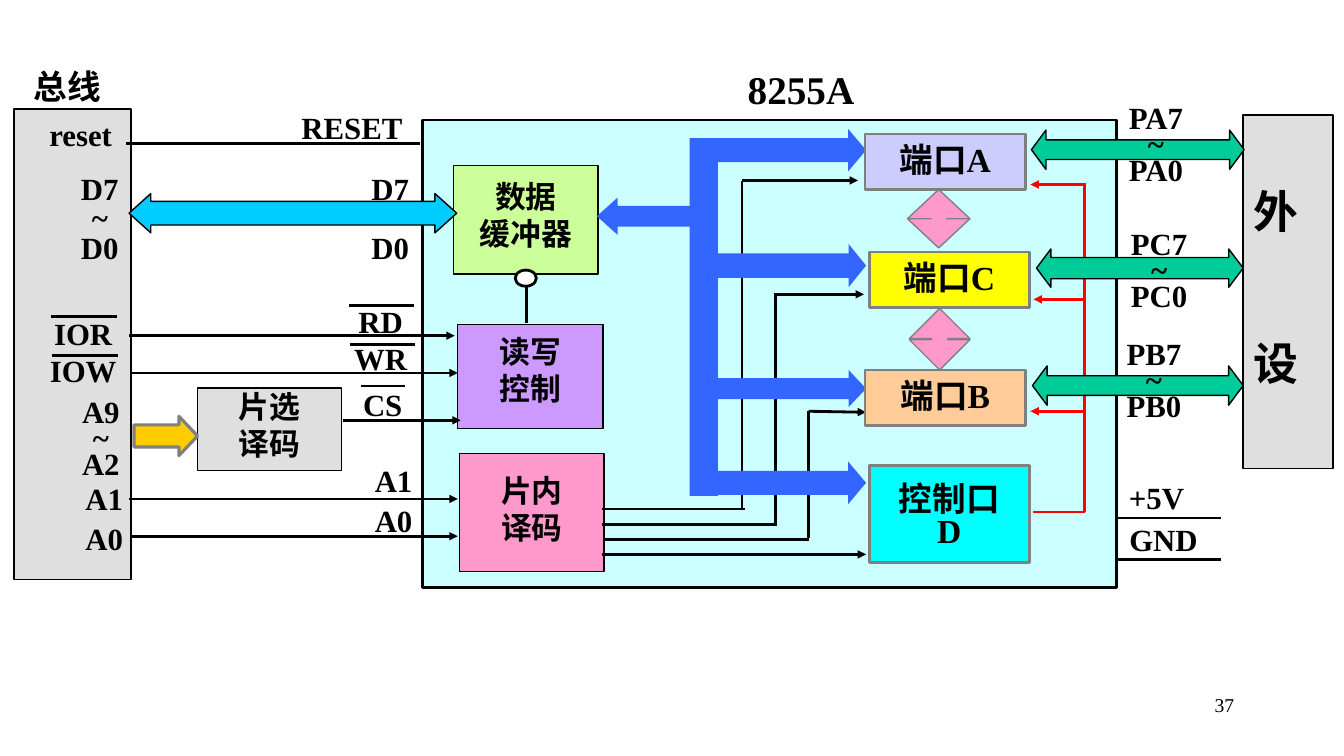
from pptx import Presentation
from pptx.dml.color import RGBColor
from pptx.enum import shapes, text
from pptx.oxml.ns import qn
from pptx.util import Inches, Pt
from lxml import etree

BLACK, GRAY, RED, BLUE, GREEN, PINK = "000000", "808080", "FF0000", "3366FF", "00CC99", "FF99CC"
SILVER = "C0C0C0"
KIND = shapes.MSO_SHAPE
CENTER, RIGHT, LEFT = text.PP_ALIGN.CENTER, text.PP_ALIGN.RIGHT, text.PP_ALIGN.LEFT
color = RGBColor.from_string

deck = Presentation()
deck.slide_width, deck.slide_height = Inches(13.33), Inches(7.5)
page = deck.slides.add_slide(deck.slide_layouts[6])


def write(box, words, size=22, bold=True, align=CENTER, spacing=None, gap=0, top=0, side=0):
    frame = box.text_frame
    frame.word_wrap = True
    frame.vertical_anchor = text.MSO_ANCHOR.TOP
    frame.margin_left = frame.margin_right = Inches(side)
    frame.margin_top, frame.margin_bottom = Inches(top), 0
    for index, line in enumerate(words.split("\n")):
        para = frame.paragraphs[0] if index == 0 else frame.add_paragraph()
        para.alignment = align
        if spacing:
            para.line_spacing = spacing
        if index and gap:
            para.space_before = Pt(gap)
        span = para.add_run()
        span.text = line
        span.font.name, span.font.size, span.font.bold = "Times New Roman", Pt(size), bold
        span.font.color.rgb = color(BLACK)


def draw(kind, place, fill, line=None, width=1, adjust=()):
    box = page.shapes.add_shape(kind, *map(Inches, place))
    box.shadow.inherit = False
    box.fill.solid()
    box.fill.fore_color.rgb = color(fill)
    if fill == SILVER:  # silver blocks are half transparent
        tint = box.fill._xPr.find(".//" + qn("a:srgbClr"))
        etree.SubElement(tint, qn("a:alpha"), val="50000")
    if line:
        box.line.color.rgb = color(line)
        box.line.width = Pt(width)
    else:
        box.line.fill.background()
    for index, value in enumerate(adjust):
        box.adjustments[index] = value
    return box


# Bus, chip outline and inner blocks
draw(KIND.RECTANGLE, (0.14, 1.08, 1.16, 4.67), SILVER, BLACK)
draw(KIND.RECTANGLE, (4.19, 1.19, 6.88, 4.64), "CCFFFF", BLACK, 2)
for place, fill, words, top in [
    ((1.96, 3.85, 1.43, 0.82), SILVER, "片选\n译码", 0),
    ((4.5, 1.64, 1.43, 1.08), "CCFF99", "数据\n缓冲器", 0.12),
    ((4.54, 3.22, 1.44, 1.03), "CC99FF", "读写\n控制", 0.08),
    ((4.56, 4.5, 1.43, 1.17), PINK, "片内\n译码", 0.18),
]:
    write(draw(KIND.RECTANGLE, place, fill, BLACK), words, top=top)
peripheral = draw(KIND.RECTANGLE, (12.33, 1.14, 0.89, 3.51), SILVER, BLACK)
write(peripheral, "外\n设", size=32, align=LEFT, gap=70, top=0.68, side=0.1)

# Wires: start, end, colour, arrowhead
wires = [
    # Bus signals
    (1.25, 1.42, 4.17, 1.42, BLACK, False),
    (1.28, 3.33, 4.51, 3.33, BLACK, True),
    (1.31, 3.7, 4.54, 3.7, BLACK, True),
    (3.4, 4.17, 4.57, 4.17, BLACK, True),
    (1.28, 4.95, 4.54, 4.95, BLACK, True),
    (1.3, 5.32, 4.54, 5.32, BLACK, True),
    # Decoder outputs
    (5.97, 5.05, 7.39, 5.05, BLACK, False),
    (7.36, 5.05, 7.36, 1.8, BLACK, False),
    (7.36, 1.79, 8.51, 1.79, BLACK, True),
    (5.97, 5.2, 7.7, 5.2, BLACK, False),
    (7.69, 5.22, 7.69, 2.92, BLACK, False),
    (7.68, 2.92, 8.57, 2.92, BLACK, True),
    (5.99, 5.35, 8.02, 5.35, BLACK, False),
    (8.02, 5.34, 8.02, 4.08, BLACK, False),
    (8.02, 4.08, 8.59, 4.09, BLACK, True),
    (5.97, 5.5, 8.59, 5.5, BLACK, True),
    # Control port to the other ports
    (10.76, 1.83, 10.76, 5.08, RED, False),
    (10.25, 5.08, 10.76, 5.08, RED, False),
    (10.76, 4.08, 10.22, 4.08, RED, True),
    (10.76, 2.97, 10.25, 2.97, RED, True),
    (10.77, 1.83, 10.22, 1.83, RED, True),
    # Supply and buffer enable
    (11.06, 5.14, 12.11, 5.14, BLACK, False),
    (11.06, 5.55, 12.11, 5.55, BLACK, False),
    (5.22, 3.2, 5.22, 2.85, BLACK, False),
]
# Bars over active-low names
for left, top, width in [(0.51, 3.14, 0.65), (0.52, 3.53, 0.65), (3.46, 3.03, 0.65),
                         (3.47, 3.42, 0.65), (3.58, 3.83, 0.44)]:
    wires.append((left, top, left + width, top, BLACK, False))
for *ends, shade, arrow in wires:
    wire = page.shapes.add_connector(shapes.MSO_CONNECTOR.STRAIGHT, *map(Inches, ends))
    wire.line.color.rgb = color(shade)
    wire.line.width = Pt(2)
    if arrow:
        etree.SubElement(wire.line._get_or_add_ln(), qn("a:tailEnd"), type="triangle")
    etree.SubElement(wire._element.spPr, qn("a:effectLst"))
draw(KIND.OVAL, (5.11, 2.68, 0.21, 0.16), "FFFFFF", BLACK, 2)

# Internal data bus
draw(KIND.RECTANGLE, (6.84, 1.37, 0.28, 3.55), BLUE)
draw(KIND.RIGHT_ARROW, (5.92, 1.96, 0.99, 0.37), BLUE, adjust=(0.561, 0.556)).rotation = 180
for top, height, head in [(1.28, 0.42, 0.421), (2.42, 0.43, 0.404),
                          (3.67, 0.37, 0.47), (4.58, 0.42, 0.421)]:
    draw(KIND.RIGHT_ARROW, (7.12, top, 1.47, height), BLUE, adjust=(0.565, head))

# Address, peripheral and port-to-port arrows
draw(KIND.RIGHT_ARROW, (1.33, 4.13, 0.63, 0.39), "FFCC00", GRAY, 2.25, (0.561, 0.473))
for place, adjust in [((10.23, 1.29, 2.11, 0.39), (0.5, 0.37)),
                      ((10.28, 2.47, 2.05, 0.38), (0.555, 0.376)),
                      ((10.24, 3.63, 2.09, 0.39), (0.5, 0.372))]:
    draw(KIND.LEFT_RIGHT_ARROW, place, GREEN, BLACK, adjust=adjust)
for place, head in [((9, 1.88, 0.62, 0.58), 0.25), ((9.02, 3.06, 0.6, 0.61), 0.269)]:
    draw(KIND.UP_DOWN_ARROW, place, PINK, GRAY, adjust=(0.5, head))

# Ports
for left, top, fill, words in [(8.58, 1.33, "CCCCFF", "端口A"), (8.62, 2.5, "FFFF00", "端口C"),
                               (8.58, 3.67, "FFCC99", "端口B")]:
    port = draw(KIND.RECTANGLE, (left, top, 1.59, 0.55), fill, GRAY, 2)
    write(port, words, size=24, spacing=0.7, top=0.16)
control = draw(KIND.RECTANGLE, (8.62, 4.62, 1.59, 0.96), "00FFFF", GRAY, 2)
write(control, "控制口\nD", size=24, spacing=0.8, top=0.2)

# Labels
for place, words, style in [
    ((0.11, 0.6, 1.11, 0.5), "总线", dict(size=24, top=0.05)),
    ((6.78, 0.6, 2.33, 0.57), "8255A", dict(size=28, top=0.05, side=0.1)),
    ((0.32, 1.15, 0.96, 0.35), "reset", {}),
    ((0.51, 1.75, 0.96, 0.83), "D7\n~\nD0", dict(spacing=0.8)),
    ((0.36, 3.12, 0.93, 0.63), "IOR\nIOW", {}),
    ((0.52, 4, 0.96, 0.83), "A9\n~\nA2", dict(spacing=0.7)),
    ((0.26, 4.76, 0.96, 0.74), "A1\nA0", dict(align=RIGHT, gap=2)),
    ((2.73, 1.08, 1.52, 0.35), "RESET", {}),
    ((3.39, 1.75, 0.96, 0.83), "D7\n~\nD0", dict(spacing=0.8)),
    ((3.31, 3, 0.93, 0.63), "RD\nWR", {}),
    ((3.47, 3.83, 0.65, 0.35), "CS", {}),
    ((3.13, 4.58, 0.96, 0.63), "A1\nA0", dict(align=RIGHT, gap=2)),
    ((11.04, 1.08, 0.85, 1), "PA7\n~\nPA0", dict(spacing=0.7)),
    ((11.07, 2.33, 0.85, 1), "PC7\n~\nPC0", dict(spacing=0.7)),
    ((11.02, 3.42, 0.85, 1), "PB7\n~\nPB0", dict(spacing=0.7)),
    ((10.99, 4.75, 0.96, 0.35), "+5V", {}),
    ((11.06, 5.17, 0.96, 0.35), "GND", {}),
    ((9.56, 6.83, 2.78, 0.5), "37", dict(size=14, bold=False, align=RIGHT, top=0.05, side=0.1)),
]:
    write(page.shapes.add_textbox(*map(Inches, place)), words, **style)

# Data arrow lies over its labels
draw(KIND.LEFT_RIGHT_ARROW, (1.28, 1.92, 3.25, 0.39), "00CCFF", BLACK, adjust=(0.602, 0.553))

deck.save("out.pptx")
